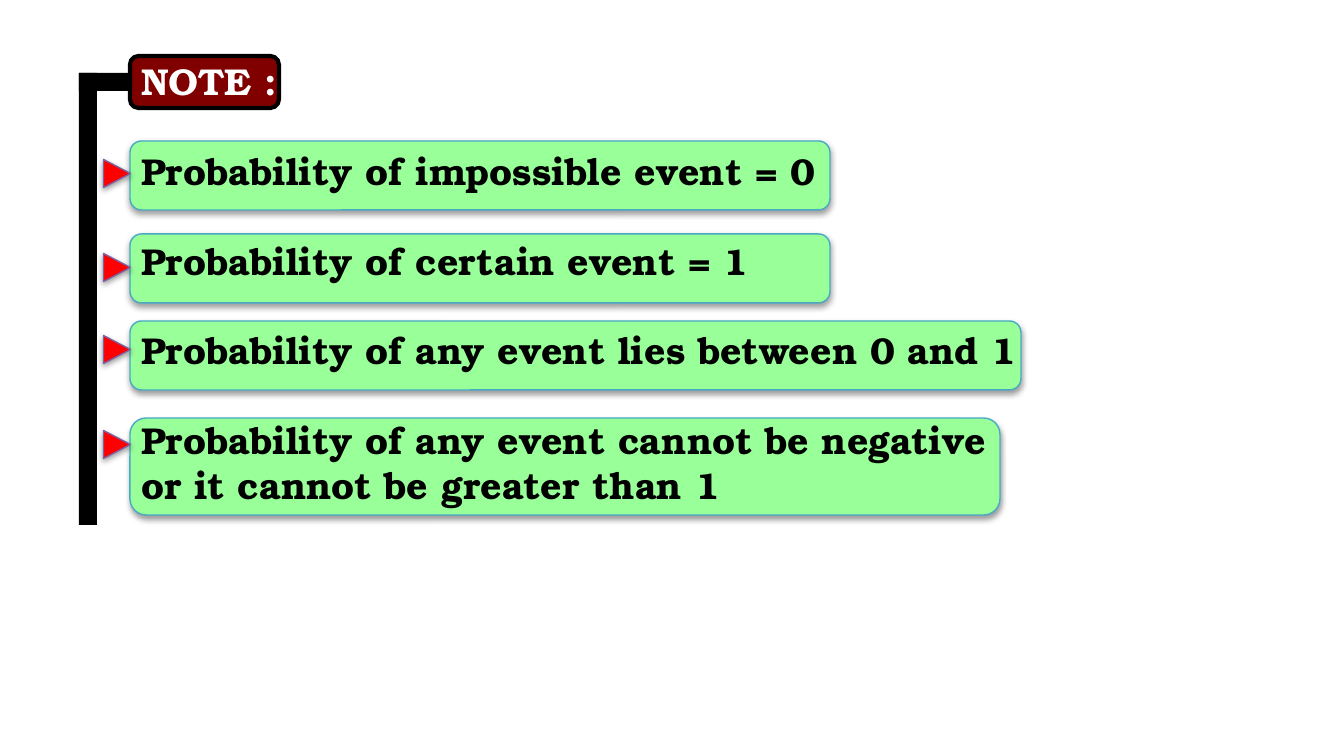
from lxml.etree import SubElement
from pptx import Presentation
from pptx.dml.color import RGBColor
from pptx.enum.shapes import MSO_SHAPE as Preset
from pptx.oxml.ns import qn
from pptx.util import Emu, Pt

PX = 914400 / 134.4
FONT = "TeX Gyre Bonum"
LINE_PITCH = 24
CARD_LEFT = 130
MARKER_LEFT, MARKER_WIDTH, MARKER_HEIGHT = 103, 28, 27

# card top, width, height, marker top, lines of text
NOTES = [
    (141, 700, 69, 160, ["Probability of impossible event = 0"]),
    (234, 700, 69, 254, ["Probability of certain event = 1"]),
    (321, 891, 69, 336, ["Probability of any event lies between 0 and 1"]),
    (418, 870, 97, 431, ["Probability of any event cannot be negative",
                         "or it cannot be greater than 1"]),
]


def px(*lengths):
    return [Emu(round(length * PX)) for length in lengths]


def color(hex_code):
    return RGBColor.from_string(hex_code)


def add_block(slide, preset, box, fill, line=None, line_width=0.75):
    block = slide.shapes.add_shape(preset, *px(*box))
    block.shadow.inherit = False
    block.fill.solid()
    block.fill.fore_color.rgb = color(fill)
    if line:
        block.line.color.rgb = color(line)
        block.line.width = Pt(line_width)
    else:
        block.line.fill.background()
    return block


def add_drop_shadow(block):
    """Cast a soft shadow straight down."""
    effects = block._element.spPr.find(qn("a:effectLst"))
    shadow = SubElement(effects, qn("a:outerShdw"), blurRad="40000",
                        dist="20000", dir="5400000", rotWithShape="0")
    tint = SubElement(shadow, qn("a:srgbClr"), val="000000")
    SubElement(tint, qn("a:alpha"), val="38000")


def add_card(slide, top, width, height):
    card = add_block(slide, Preset.ROUNDED_RECTANGLE,
                     (CARD_LEFT, top, width, height), "99FF99", "46AAC5")
    add_drop_shadow(card)


def add_marker(slide, top):
    marker = add_block(slide, Preset.ISOSCELES_TRIANGLE,
                       (MARKER_LEFT, top, MARKER_WIDTH, MARKER_HEIGHT),
                       "FF0000", "7D60A0")
    marker.rotation = 90
    add_drop_shadow(marker)


def add_bracket(slide):
    """Draw the black bracket with the heading's label on its arm."""
    add_block(slide, Preset.RECTANGLE, (79, 73, 134, 18), "000000")
    add_block(slide, Preset.ROUNDED_RECTANGLE, (CARD_LEFT, 56, 149, 52),
              "800000", "000000", 2.25)
    add_block(slide, Preset.RECTANGLE, (79, 73, 18, 452), "000000")


def add_note_text(slide, heading, notes):
    frame = slide.shapes.add_textbox(*px(128, 52, 974, 466)).text_frame
    frame.word_wrap = True
    groups = [[heading], *notes]
    frame.text = "\n".join(line for group in groups for line in group)
    group_starts = [position == 0 for group in groups
                    for position in range(len(group))]
    for index, paragraph in enumerate(frame.paragraphs):
        if index and group_starts[index]:
            paragraph.space_before = Pt(LINE_PITCH)
        font = paragraph.runs[0].font
        font.name = FONT
        font.size = Pt(20)
        font.bold = True
        font.color.rgb = color("000000" if index else "FFFFFF")


def main():
    deck = Presentation()
    deck.slide_width, deck.slide_height = px(1344, 756)
    slide = deck.slides.add_slide(deck.slide_layouts[6])
    for top, width, height, _, _ in NOTES:
        add_card(slide, top, width, height)
    add_bracket(slide)
    add_note_text(slide, "NOTE :", [note[-1] for note in NOTES])
    for _, _, _, marker_top, _ in NOTES:
        add_marker(slide, marker_top)
    deck.save("out.pptx")


if __name__ == "__main__":
    main()
